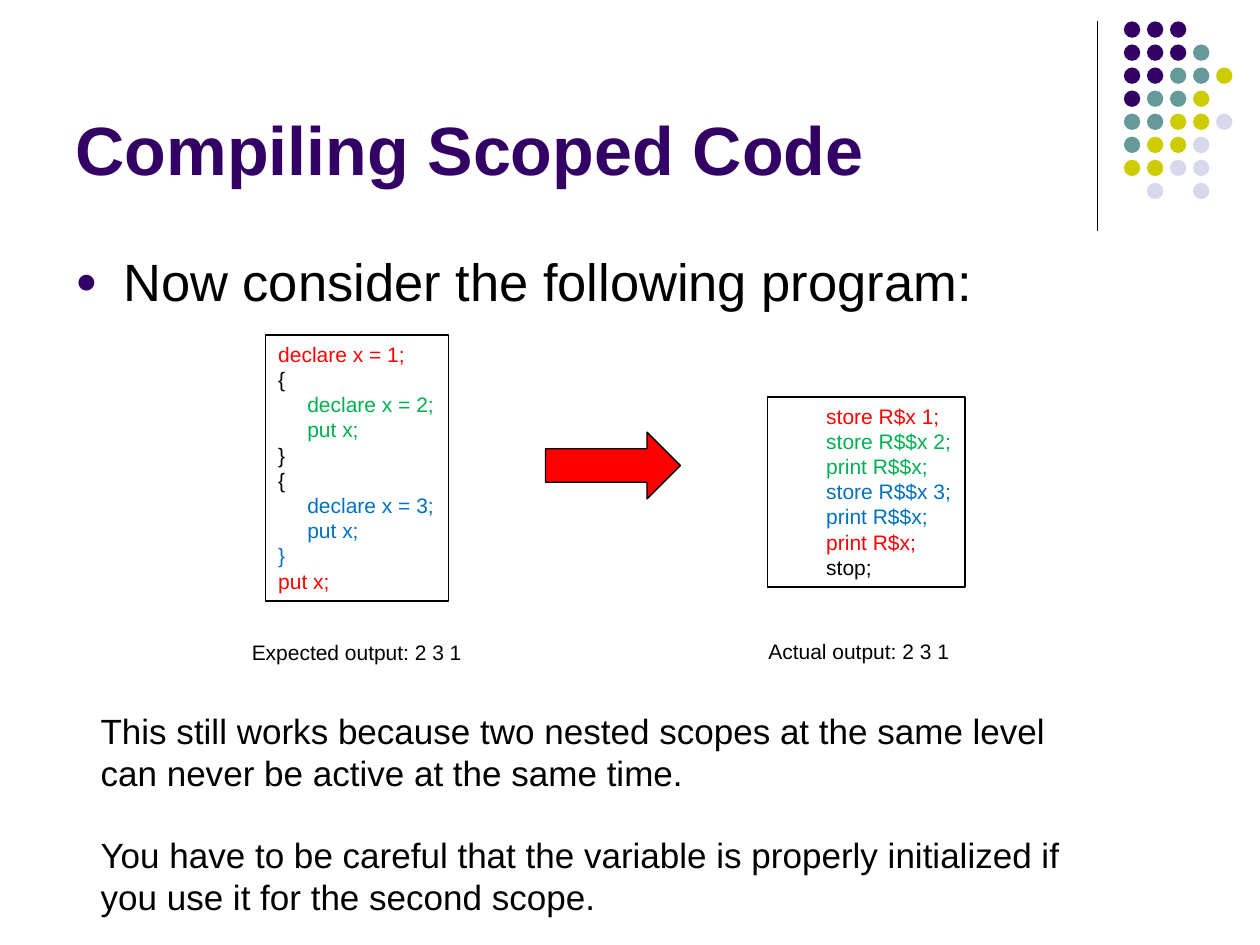
from lxml.etree import SubElement
from pptx import Presentation
from pptx.dml.color import RGBColor
from pptx.enum.shapes import MSO_CONNECTOR, MSO_SHAPE
from pptx.enum.text import MSO_ANCHOR, MSO_AUTO_SIZE, PP_ALIGN
from pptx.oxml.ns import qn
from pptx.util import Inches, Pt

BLACK = RGBColor(0x00, 0x00, 0x00)
PURPLE = RGBColor(0x33, 0x00, 0x66)
TEAL = RGBColor(0x66, 0x99, 0x99)
OLIVE = RGBColor(0xCC, 0xCC, 0x00)
LILAC = RGBColor(0xD8, 0xD8, 0xEC)
RED = RGBColor(0xFF, 0x00, 0x00)
GREEN = RGBColor(0x00, 0xB0, 0x50)
BLUE = RGBColor(0x00, 0x70, 0xC0)

FONT = "Arial"
COLUMNS, ROWS = 100, 75
CELL = Inches(10) // COLUMNS

DOT_COLORS = {"P": PURPLE, "T": TEAL, "O": OLIVE, "L": LILAC}
DOT_ROWS = ["PPP", "PPPT", "PPTTO", "PTTO", "TTOOL", "TOOL", "OOLL", " L L"]
DOT_SIZE, DOT_PITCH = 1.3, 1.83

SOURCE_CODE = [
    ("declare x = 1;", RED),
    ("{", BLACK),
    ("     declare x = 2;", GREEN),
    ("     put x;", GREEN),
    ("}", BLACK),
    ("{", BLACK),
    ("     declare x = 3;", BLUE),
    ("     put x;", BLUE),
    ("}", BLUE),
    ("put x;", RED),
]
COMPILED_CODE = [
    ("        store R$x 1;", RED),
    ("        store R$$x 2;", GREEN),
    ("        print R$$x;", GREEN),
    ("        store R$$x 3;", BLUE),
    ("        print R$$x;", BLUE),
    ("        print R$x;", RED),
    ("        stop;", BLACK),
]


def grid(*cells):
    """Turn columns and rows of the grid into lengths."""
    return [round(c * CELL) for c in cells]


def add_run(p, text, size, color=BLACK, bold=False):
    """Append one formatted run to a paragraph."""
    r = p.add_run()
    r.text = text
    r.font.name, r.font.size, r.font.bold = FONT, Pt(size), bold
    r.font.color.rgb = color


def add_text(s, box, wrap=False):
    """Add a text box and return its text frame."""
    tf = s.shapes.add_textbox(*grid(*box)).text_frame
    tf.word_wrap = wrap
    tf.auto_size = MSO_AUTO_SIZE.NONE if wrap else MSO_AUTO_SIZE.SHAPE_TO_FIT_TEXT
    return tf


def add_figure(shapes, kind, box, fill=None, outlined=True):
    """Add a flat preset shape with an optional fill and thin outline."""
    sp = shapes.add_shape(kind, *grid(*box))
    sp.shadow.inherit = False
    if fill is None:
        sp.fill.background()
    else:
        sp.fill.solid()
        sp.fill.fore_color.rgb = fill
    if outlined:
        sp.line.color.rgb = BLACK
        sp.line.width = Pt(0.75)
    else:
        sp.line.fill.background()
    return sp


def add_rule(s, x, top, bottom):
    """Add the thin vertical line beside the dots."""
    line = s.shapes.add_connector(MSO_CONNECTOR.STRAIGHT, *grid(x, top, x, bottom))
    line.line.color.rgb = BLACK
    line.line.width = Pt(0.75)
    SubElement(line._element.spPr, qn("a:effectLst"))


def add_dots(s, left, top):
    """Add the corner ornament as a group of dots."""
    group = s.shapes.add_group_shape()
    for row, keys in enumerate(DOT_ROWS):
        for col, key in enumerate(keys):
            if key in DOT_COLORS:
                box = (left + col * DOT_PITCH, top + row * DOT_PITCH, DOT_SIZE, DOT_SIZE)
                add_figure(group.shapes, MSO_SHAPE.OVAL, box, DOT_COLORS[key], False)


def add_title(s, box, text):
    """Add the bottom-anchored slide title."""
    tf = add_text(s, box, wrap=True)
    tf.vertical_anchor = MSO_ANCHOR.BOTTOM
    add_run(tf.paragraphs[0], text, 39, PURPLE, bold=True)


def add_bullet(s, box, text):
    """Add a first-level bullet with a purple dot."""
    tf = add_text(s, box, wrap=True)
    tf.margin_top = Inches(0.1)
    p = tf.paragraphs[0]
    pPr = p._p.get_or_add_pPr()
    pPr.set("marL", str(Inches(0.38)))
    pPr.set("indent", str(Inches(-0.38)))
    SubElement(SubElement(pPr, qn("a:buClr")), qn("a:srgbClr")).set("val", str(PURPLE))
    SubElement(pPr, qn("a:buSzPct")).set("val", "70000")
    SubElement(pPr, qn("a:buFont")).set("typeface", FONT)
    SubElement(pPr, qn("a:buChar")).set("char", "●")
    add_run(p, text, 30)


def add_code(s, box, lines):
    """Add an outlined box of coloured code lines."""
    tf = add_figure(s.shapes, MSO_SHAPE.RECTANGLE, box).text_frame
    tf.word_wrap = False
    tf.auto_size = MSO_AUTO_SIZE.SHAPE_TO_FIT_TEXT
    tf.vertical_anchor = MSO_ANCHOR.TOP
    for i, (text, color) in enumerate(lines):
        p = tf.add_paragraph() if i else tf.paragraphs[0]
        p.alignment = PP_ALIGN.LEFT
        add_run(p, text, 12, color)


def add_notes(s, box, paragraphs, size):
    """Add unwrapped paragraphs, one line apart, with set line breaks."""
    tf = add_text(s, box)
    for i, lines in enumerate(paragraphs):
        p = tf.add_paragraph() if i else tf.paragraphs[0]
        if i:
            p.space_before = Pt(size * 1.15)
        for j, line in enumerate(lines):
            if j:
                p.add_line_break()
            add_run(p, line, size)


def main():
    """Build the slide and save it."""
    prs = Presentation()
    prs.slide_width, prs.slide_height = COLUMNS * CELL, ROWS * CELL
    s = prs.slides.add_slide(prs.slide_layouts[6])
    add_rule(s, 87.1, 1.7, 18.3)
    add_dots(s, 89.2, 1.7)
    add_title(s, (5, 1.3, 82.5, 14.2), "Compiling Scoped Code")
    add_bullet(s, (5, 18.8, 90, 12), "Now consider the following program:")
    add_code(s, (21.1, 26.6, 14.5, 21.1), SOURCE_CODE)
    add_code(s, (60.9, 31.5, 15.7, 15.1), COMPILED_CODE)
    add_figure(s.shapes, MSO_SHAPE.RIGHT_ARROW, (43.3, 34.3, 10.7, 5.3), RED)
    add_notes(s, (7, 55.8, 79.5, 17.8), [
        ["This still works because two nested scopes at the same level",
         "can never be active at the same time."],
        ["You have to be careful that the variable is properly initialized if ",
         "you use it for the second scope."],
    ], 20)
    add_notes(s, (19, 50.3, 18.7, 3), [["Expected output: 2 3 1"]], 12)
    add_notes(s, (60, 50.2, 16.4, 3), [["Actual output: 2 3 1"]], 12)
    prs.save("out.pptx")


if __name__ == "__main__":
    main()
